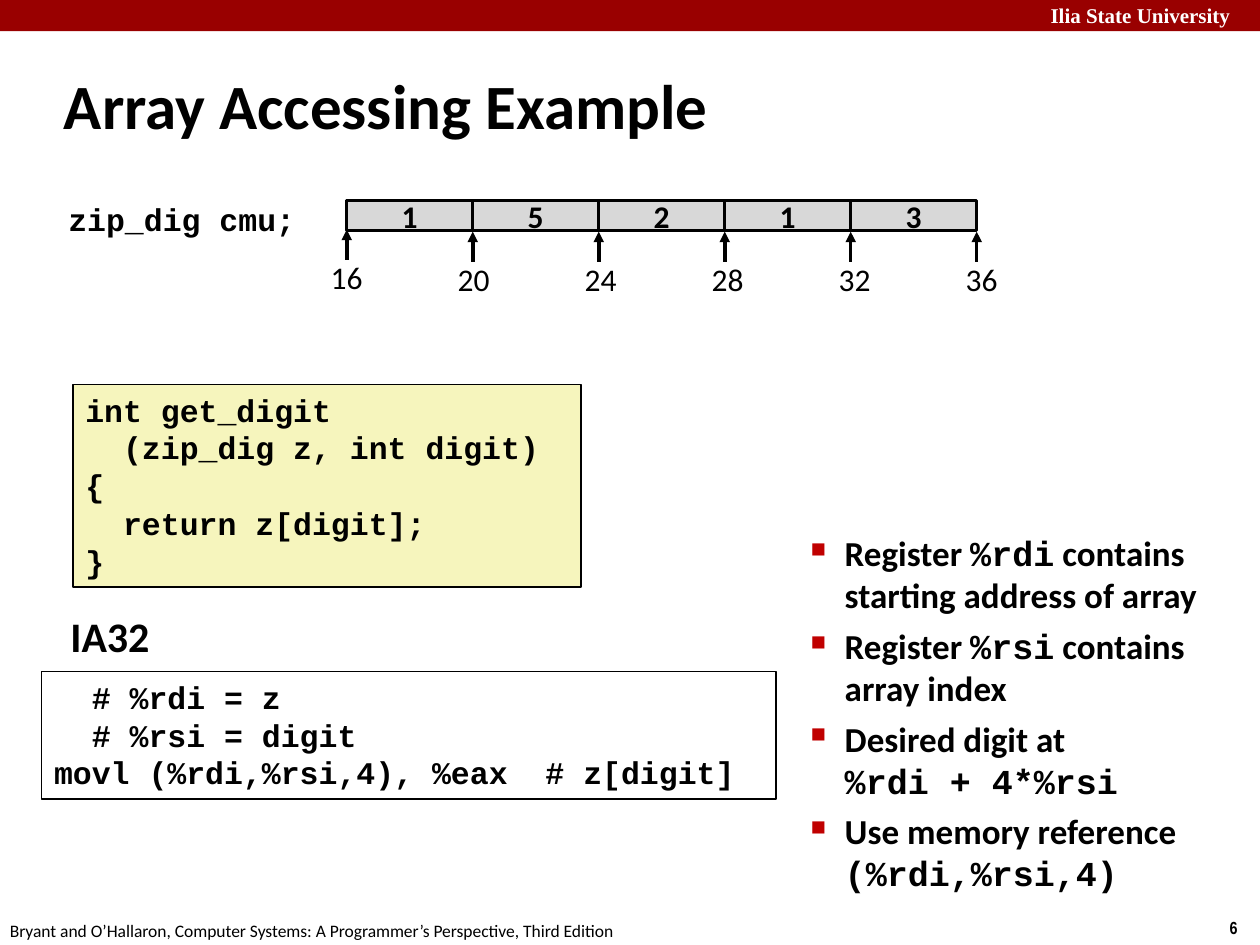
"""Build the array accessing slide."""
from dataclasses import dataclass

from lxml.etree import SubElement
from pptx import Presentation
from pptx.dml.color import RGBColor as RGB
from pptx.enum.shapes import MSO_CONNECTOR as CONN, MSO_SHAPE as SHAPE
from pptx.enum.text import MSO_ANCHOR as ANCHOR, PP_ALIGN as ALIGN
from pptx.oxml.ns import qn
from pptx.util import Cm, Pt


@dataclass(frozen=True)
class Theme:
    black: str = "000000"
    white: str = "FFFFFF"
    banner: str = "990000"
    bullet: str = "C00000"
    code: str = "F6F5BD"
    cell: str = "D8D8D8"
    sans: str = "Calibri"
    mono: str = "Courier New"
    serif: str = "Times New Roman"
    narrow: str = "Arial Narrow"
    title: int = 36
    heading: int = 24
    body: int = 20
    normal: int = 18
    header: int = 12
    footer: int = 10


T = Theme()


def write(tf, text, font=T.sans, size=T.normal, color=T.black, bold=True,
          align=ALIGN.LEFT, anchor=ANCHOR.TOP, wrap=False):
    """Fill a frame: newline splits paragraphs, \\v breaks lines, backticks mark code."""
    tf.word_wrap, tf.vertical_anchor = wrap, anchor
    for i, line in enumerate(text.split("\n")):
        p = tf.paragraphs[0] if i == 0 else tf.add_paragraph()
        p.alignment = align
        for j, part in enumerate(line.split("`")):
            for k, piece in enumerate(part.split("\v")):
                if k:
                    p.add_line_break()
                if piece:
                    r = p.add_run()
                    r.text = piece
                    r.font.name = T.mono if j % 2 else font
                    r.font.size, r.font.bold = Pt(size), bold
                    r.font.color.rgb = RGB.from_string(color)


class Canvas:
    """Hold the theme and the current slide and draw each kind of element."""

    def __init__(self, slide, theme):
        self.s, self.theme = slide, theme

    def text(self, x, y, w, h, text, **fmt):
        """Add a text box."""
        sp = self.s.shapes.add_textbox(Cm(x), Cm(y), Cm(w), Cm(h))
        write(sp.text_frame, text, **fmt)
        return sp

    def box(self, x, y, w, h, text="", fill=None, line=0, **fmt):
        """Add a rectangle with optional fill, outline and text."""
        sp = self.s.shapes.add_shape(SHAPE.RECTANGLE, Cm(x), Cm(y), Cm(w), Cm(h))
        sp.shadow.inherit = False
        if fill:
            sp.fill.solid()
            sp.fill.fore_color.rgb = RGB.from_string(fill)
        else:
            sp.fill.background()
        if line:
            sp.line.color.rgb = RGB.from_string(self.theme.black)
            sp.line.width = Pt(line)
        else:
            sp.line.fill.background()
        if text:
            write(sp.text_frame, text, **fmt)

    def arrow(self, x, y1, y2):
        """Add a vertical arrow pointing at y2."""
        c = self.s.shapes.add_connector(CONN.STRAIGHT, Cm(x), Cm(y1), Cm(x), Cm(y2))
        c.line.color.rgb = RGB.from_string(self.theme.black)
        c.line.width = Pt(2)
        SubElement(c.line._get_or_add_ln(), qn("a:tailEnd"), type="triangle")
        SubElement(c._element.spPr, qn("a:effectLst"))

    def bullets(self, x, y, w, h, text, **fmt):
        """Add a text box with square bullets."""
        sp = self.text(x, y, w, h, text, wrap=True, **fmt)
        for i, p in enumerate(sp.text_frame.paragraphs):
            p.space_before = Pt(5 if i else 0)
            pr = p._p.get_or_add_pPr()
            pr.set("marL", str(Cm(1.11)))
            pr.set("indent", str(Cm(-0.69)))
            color = SubElement(pr, qn("a:buClr"))
            SubElement(color, qn("a:srgbClr"), val=self.theme.bullet)
            SubElement(pr, qn("a:buSzPct"), val="60000")
            SubElement(pr, qn("a:buChar"), char="■")

    def array(self, x, y, cell, h, values, start, step):
        """Draw array cells with an address arrow at each cell edge."""
        for i, value in enumerate(values):
            self.box(x + i * cell, y, cell, h, str(value), fill=self.theme.cell, line=2,
                     align=ALIGN.CENTER, anchor=ANCHOR.MIDDLE)
        for i in range(len(values) + 1):
            edge, drop = x + i * cell, 0 if i else -0.04
            self.arrow(edge, y + 1.24 + drop, y + 0.63 + drop)
            self.text(edge + i * 0.02 - 1.37, y + 1.07 + drop, 2.74, 1.02,
                      str(start + i * step), bold=False, align=ALIGN.CENTER)


def main():
    """Build and save the slide."""
    prs = Presentation()
    prs.slide_width, prs.slide_height = Cm(25.4), Cm(19.05)
    c = Canvas(prs.slides.add_slide(prs.slide_layouts[6]), T)

    c.box(0, 0, 25.4, 0.63, fill=T.banner)
    c.text(20.93, -0.08, 4.65, 0.76, "Ilia State University",
           font=T.serif, size=T.header, color=T.white)
    c.text(24.54, 18.36, 0.86, 0.69, "6", font=T.narrow, size=T.footer)
    c.text(-0.05, 18.42, 12.9, 0.69,
           "Bryant and O’Hallaron, Computer Systems: A Programmer’s Perspective, Third Edition",
           size=T.footer, bold=False)
    c.text(1.04, 1.04, 21.08, 2.11, "Array Accessing Example",
           size=T.title, anchor=ANCHOR.MIDDLE, wrap=True)

    c.bullets(15.67, 10.59, 9.53, 8.28,
              "Register `%rdi` contains starting address of array\n"
              "Register `%rsi` contains \varray index\n"
              "Desired digit at \v`%rdi + 4*%rsi`\n"
              "Use memory reference `(%rdi,%rsi,4)`", size=T.body)
    c.box(1.47, 7.75, 10.24, 4.09,
          "int get_digit\n  (zip_dig z, int digit)\n{\n  return z[digit];\n}",
          fill=T.code, line=1, font=T.mono)
    c.box(0.84, 13.54, 14.81, 2.57,
          "  # %rdi = z\n  # %rsi = digit\nmovl (%rdi,%rsi,4), %eax  # z[digit]",
          line=1, font=T.mono)
    c.text(1.17, 12.19, 2.11, 1.27, "IA32", size=T.heading)
    c.text(0.84, 3.91, 5.36, 1.02, "zip_dig cmu;", font=T.mono, align=ALIGN.RIGHT)
    c.array(6.99, 4.04, 2.54, 0.61, (1, 5, 2, 1, 3), start=16, step=4)

    prs.save("out.pptx")


if __name__ == "__main__":
    main()
